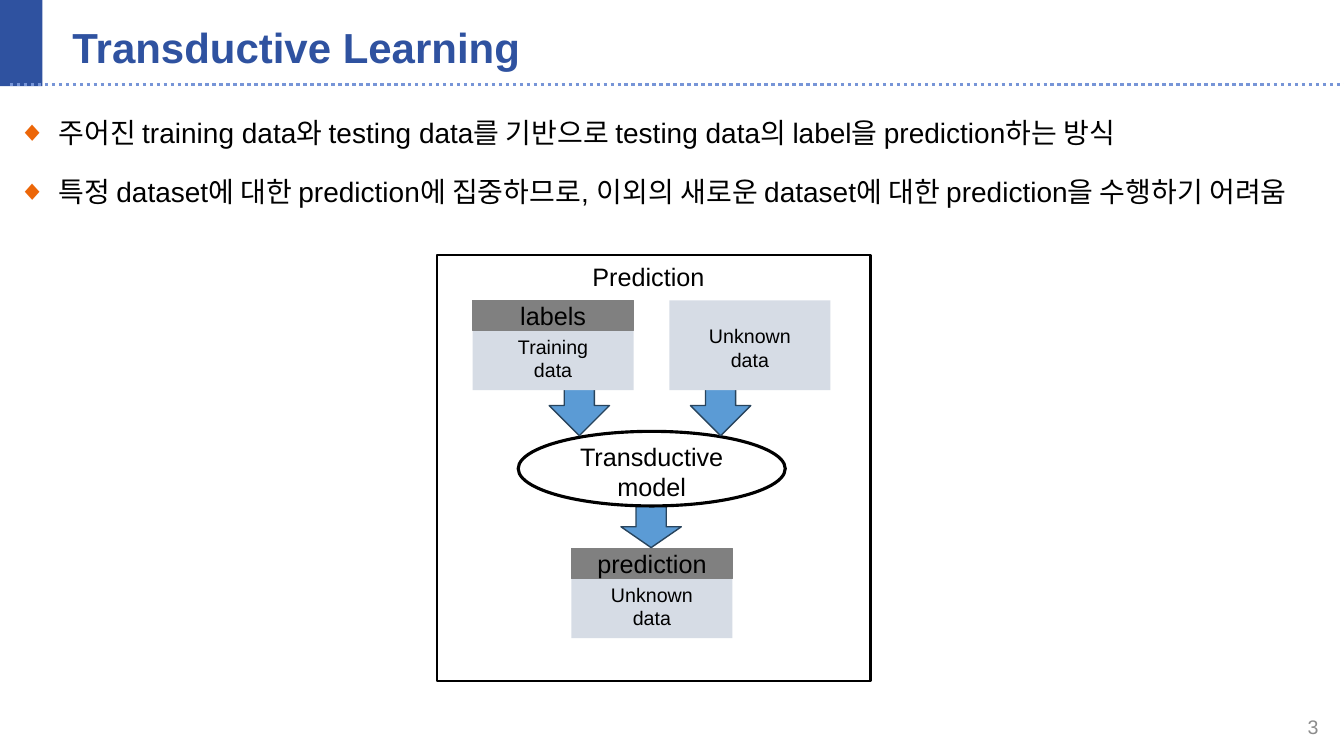
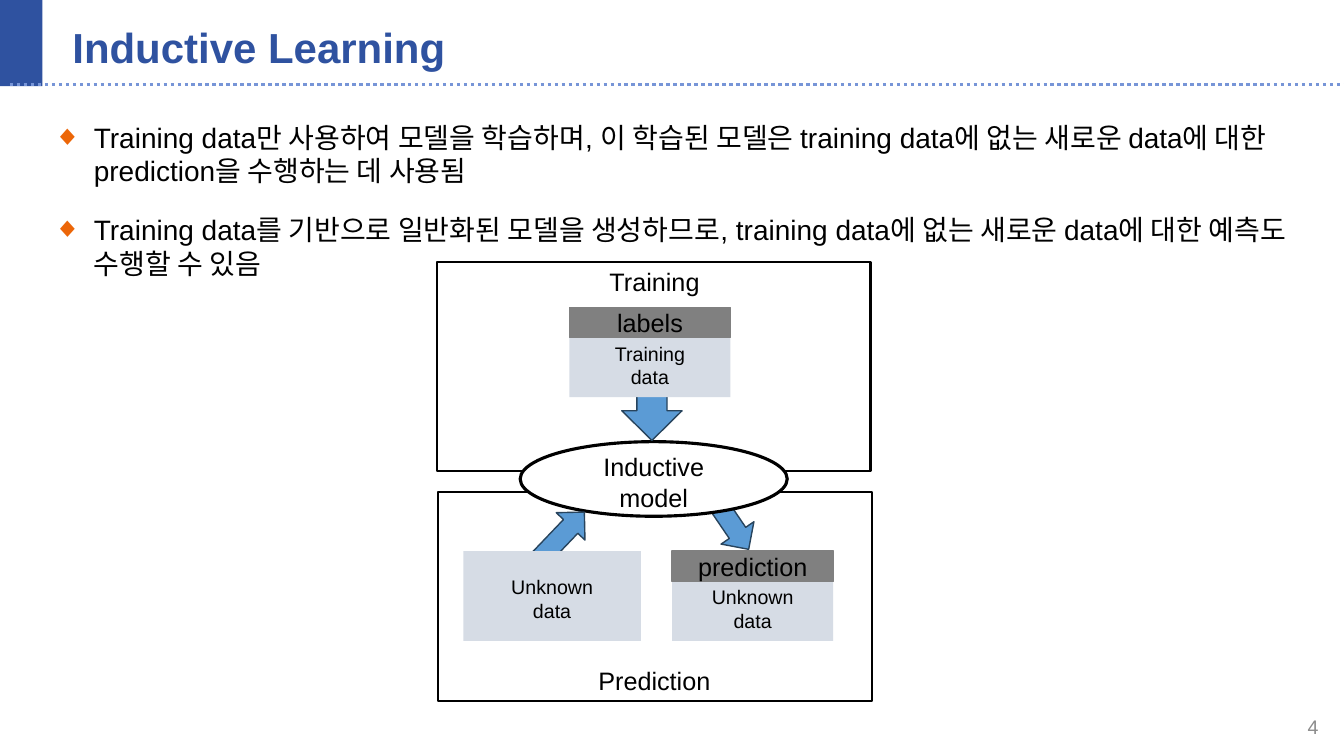
import pptx
import pptx.util
import pptx.dml.color
import pptx.enum.dml
import pptx.enum.shapes
import pptx.enum.text
import pptx.oxml
import pptx.oxml.ns
import lxml.etree

Cm = pptx.util.Cm
Pt = pptx.util.Pt
RGB = pptx.dml.color.RGBColor.from_string
SHAPE = pptx.enum.shapes.MSO_SHAPE
ANCHOR = pptx.enum.text.MSO_ANCHOR
ALIGN = pptx.enum.text.PP_ALIGN
qn = pptx.oxml.ns.qn

colors = {"navy": "2F52A0", "dots": "7795D7", "bullet": "EC6608", "card": "D6DCE5",
          "tag": "808080", "arrow": "5B9BD5", "edge": "28445D", "black": "000000",
          "white": "FFFFFF", "page": "8C8C8C"}

styles = {
    "card": (SHAPE.RECTANGLE, "card", None, 0, 14, ALIGN.CENTER, ANCHOR.TOP, 0.25, 0.6),
    "tagged": (SHAPE.RECTANGLE, "card", None, 0, 14, ALIGN.CENTER, ANCHOR.TOP, 0.25, 0.86),
    "tag": (SHAPE.RECTANGLE, "tag", "tag", 1, 18, ALIGN.CENTER, ANCHOR.MIDDLE, 0.25, 0),
    "arrow": (SHAPE.DOWN_ARROW, "arrow", "edge", 1, 18, ALIGN.CENTER, ANCHOR.MIDDLE, 0, 0),
    "model": (SHAPE.OVAL, "white", "black", 2.25, 18, ALIGN.CENTER, ANCHOR.MIDDLE, 0, 0.15),
    "frame": (SHAPE.RECTANGLE, None, "black", 1.5, 18, ALIGN.CENTER, ANCHOR.TOP, 0, 0),
    "caption": (None, None, None, 0, 18, ALIGN.LEFT, ANCHOR.TOP, 0.25, 0.13),
    "page": (None, None, None, 0, 14, ALIGN.RIGHT, ANCHOR.MIDDLE, 0.25, 0),
}

slides = [
    {"title": "Transductive Learning", "page": "3", "body": (0.2, 2.79, 32.92, 14.25),
     "bullets": ["주어진 training data와 testing data를 기반으로 testing data의 label을 prediction하는 방식",
                 "특정 dataset에 대한 prediction에 집중하므로, 이외의 새로운 dataset에 대한 prediction을 수행하기 어려움"],
     "items": [("tagged", 14.4, 13.82, 4.06, 2.26, "Unknown\ndata", "prediction"),
               ("arrow", 15.65, 12.75, 1.52, 1.05, "", 0),
               ("model", 13.06, 10.87, 6.73, 1.88, "Transductive\nmodel", None),
               ("arrow", 17.4, 9.42, 1.52, 1.56, "", 0),
               ("card", 16.87, 7.57, 4.06, 2.26, "Unknown\ndata", None),
               ("arrow", 13.84, 9.42, 1.52, 1.56, "", 0),
               ("tagged", 11.91, 7.57, 4.06, 2.26, "Training\ndata", "labels"),
               ("frame", 11.02, 6.43, 10.92, 10.74, "", None),
               ("caption", 14.68, 6.45, 5.84, 1.02, "Prediction", None)]},
    {"title": "Inductive Learning", "page": "4", "body": (1.09, 2.9, 31.7, 14.25),
     "bullets": ["Training data만 사용하여 모델을 학습하며, 이 학습된 모델은 training data에 없는 새로운 data에 대한 prediction을 수행하는 데 사용됨",
                 "Training data를 기반으로 일반화된 모델을 생성하므로, training data에 없는 새로운 data에 대한 예측도 수행할 수 있음"],
     "items": [("tagged", 16.94, 13.89, 4.06, 2.26, "Unknown\ndata", "prediction"),
               ("frame", 11.05, 12.4, 10.92, 5.26, "", None),
               ("frame", 11.02, 6.6, 10.92, 5.26, "", None),
               ("arrow", 17.89, 12.29, 1, 1.7, "", 325.8),
               ("caption", 14.83, 16.64, 5.84, 1.02, "Prediction", None),
               ("model", 13.11, 11.13, 6.73, 1.88, "Inductive\nmodel", None),
               ("arrow", 15.67, 9.6, 1.52, 1.5, "", 0),
               ("tagged", 14.35, 7.75, 4.06, 2.26, "Training\ndata", "labels"),
               ("arrow", 13.57, 12.64, 1, 1.9, "", 223.7),
               ("card", 11.68, 13.89, 4.47, 2.26, "Unknown\ndata", None),
               ("caption", 15.11, 6.58, 5.56, 1.02, "Training", None)]},
]


def write(tf, lines, size, color, align, bold=False):
    for i, line in enumerate(lines):
        p = tf.paragraphs[0] if i == 0 else tf.add_paragraph()
        p.alignment = align
        r = p.add_run()
        r.text = line
        for name, value in {"name": "Arial", "size": Pt(size), "bold": bold}.items():
            setattr(r.font, name, value)
        r.font.color.rgb = RGB(colors[color])


def put(s, kind, x, y, w, h, text):
    preset, fill, line, width, size, align, anchor, side, top = styles[kind]
    box = [Cm(v) for v in (x, y, w, h)]
    if preset is None:
        sp = s.shapes.add_textbox(*box)
    else:
        sp = s.shapes.add_shape(preset, *box)
        sp.shadow.inherit = False
        if fill:
            sp.fill.solid()
            sp.fill.fore_color.rgb = RGB(colors[fill])
        else:
            sp.fill.background()
        if line:
            sp.line.color.rgb = RGB(colors[line])
            sp.line.width = Pt(width)
        else:
            sp.line.fill.background()
    if text:
        tf = sp.text_frame
        frame = {"word_wrap": True, "vertical_anchor": anchor, "margin_left": Cm(side),
                 "margin_right": Cm(side), "margin_top": Cm(top), "margin_bottom": 0}
        for name, value in frame.items():
            setattr(tf, name, value)
        write(tf, text.split("\n"), size, "page" if kind == "page" else "black", align)
    return sp


prs = pptx.Presentation()
prs.slide_width, prs.slide_height = Cm(33.87), Cm(19.05)
layout = prs.slide_layouts[1]
title_box = dict(zip(("left", "top", "width", "height"), map(Cm, (1.57, 0.51, 29.21, 1.35))))
for name, value in title_box.items():
    setattr(layout.placeholders[0], name, value)

for content in slides:
    s = prs.slides.add_slide(layout)
    if content is slides[0]:
        band = s.shapes.add_shape(SHAPE.RECTANGLE, 0, 0, Cm(1.07), Cm(2.17))
        band.shadow.inherit = False
        band.fill.solid()
        band.fill.fore_color.rgb = RGB(colors["navy"])
        band.line.fill.background()
        rule = s.shapes.add_connector(pptx.enum.shapes.MSO_CONNECTOR.STRAIGHT,
                                      Cm(0.25), Cm(2.13), Cm(33.87), Cm(2.13))
        rule.line.color.rgb = RGB(colors["dots"])
        rule.line.width = Pt(2.5)
        rule.line.dash_style = pptx.enum.dml.MSO_LINE.ROUND_DOT
        lxml.etree.SubElement(rule.element.spPr, qn("a:effectLst"))
        for sp in (band, rule):
            layout.shapes.element.append(sp.element)

    tf = s.shapes.title.text_frame
    tf.vertical_anchor = ANCHOR.MIDDLE
    tf.auto_size = pptx.enum.text.MSO_AUTO_SIZE.NONE
    write(tf, [content["title"]], 30, "navy", ALIGN.LEFT, True)

    body = s.placeholders[1]
    for name, value in zip(("left", "top", "width", "height"), content["body"]):
        setattr(body, name, Cm(value))
    tf = body.text_frame
    tf.auto_size = pptx.enum.text.MSO_AUTO_SIZE.NONE
    write(tf, content["bullets"], 20, "black", ALIGN.LEFT)
    for p in tf.paragraphs:
        p.space_before = Pt(18)
        pPr = p._p.get_or_add_pPr()
        pPr.set("marL", str(Cm(1.02)))
        pPr.set("indent", str(-Cm(1.02)))
        buClr = lxml.etree.SubElement(pPr, qn("a:buClr"))
        lxml.etree.SubElement(buClr, qn("a:srgbClr"), val=colors["bullet"])
        lxml.etree.SubElement(pPr, qn("a:buFont"), typeface="Arial")
        lxml.etree.SubElement(pPr, qn("a:buChar"), char="◆")

    for kind, x, y, w, h, text, extra in content["items"]:
        sp = put(s, kind, x, y, w, h, text)
        if kind == "arrow":
            sp.rotation = extra
        if kind == "tagged":
            put(s, "tag", x, y, w, 0.76, extra)
    put(s, "page", 25.86, 17.81, 7.62, 1.02, content["page"])

prs.save("out.pptx")
